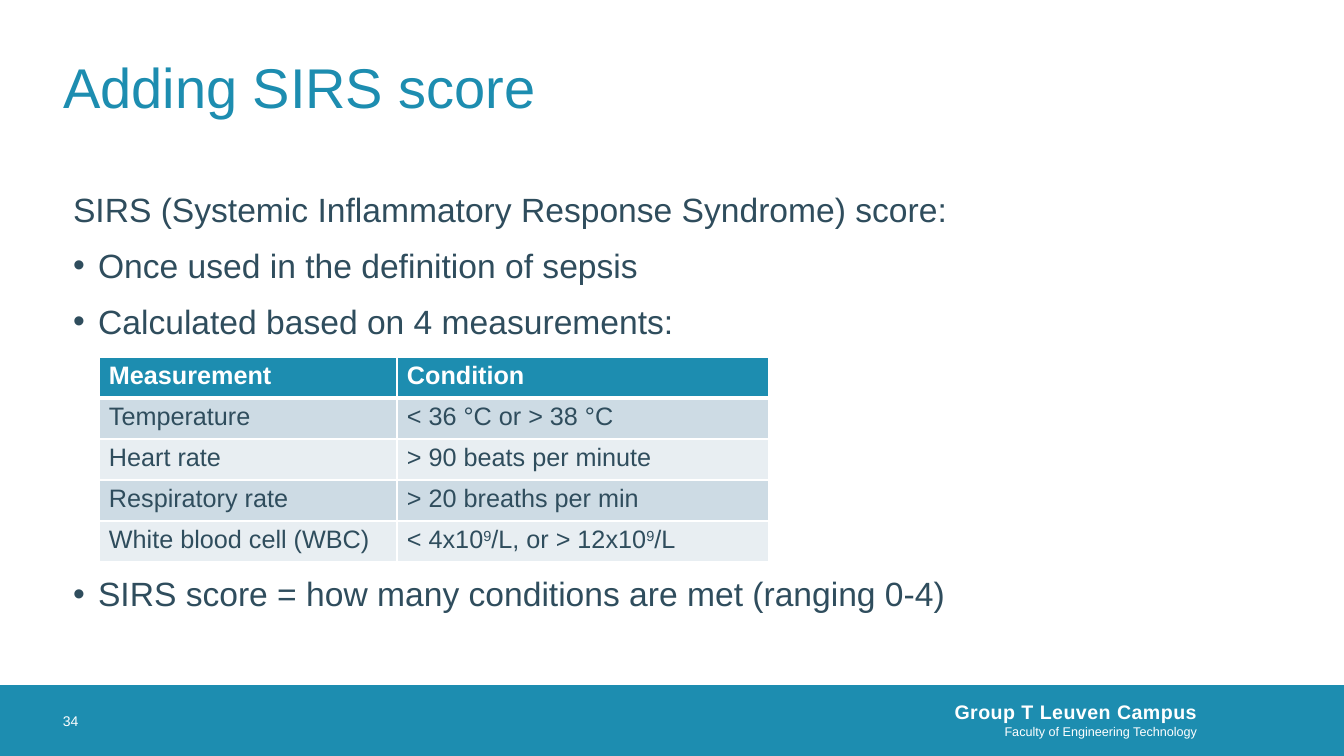
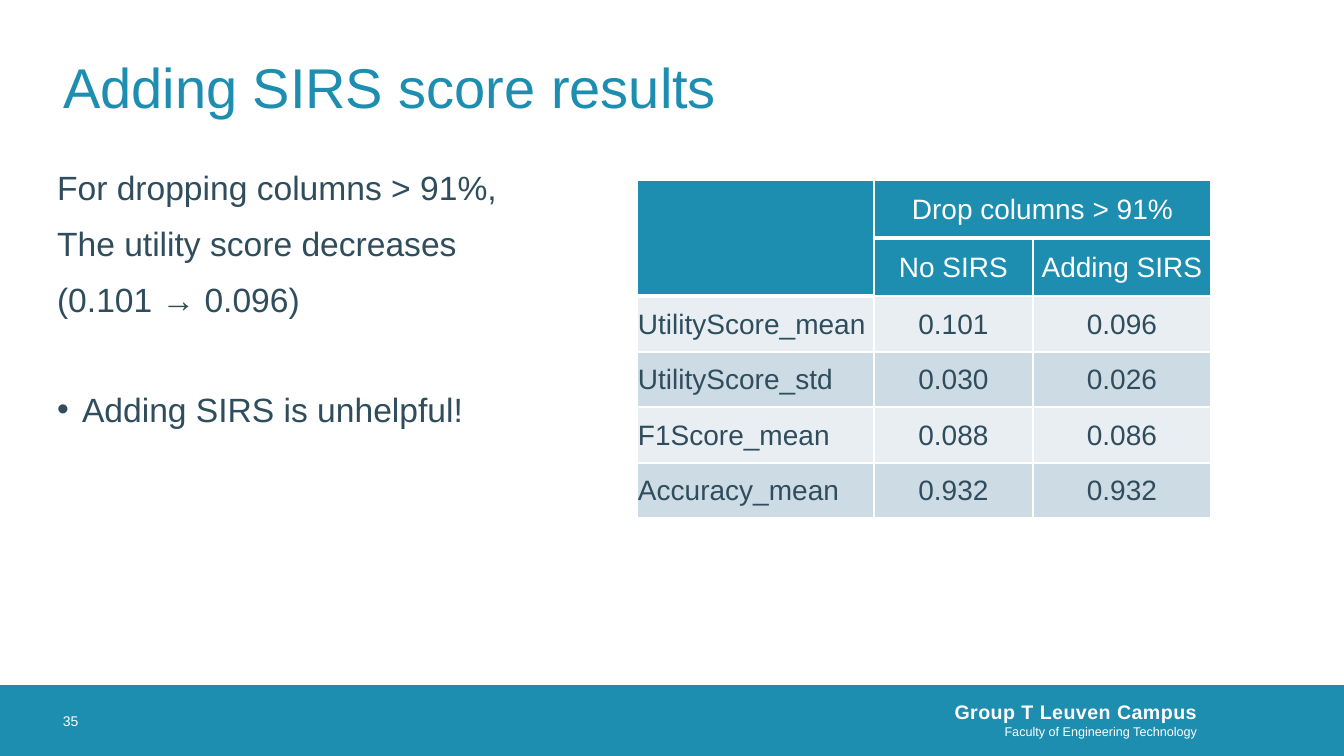
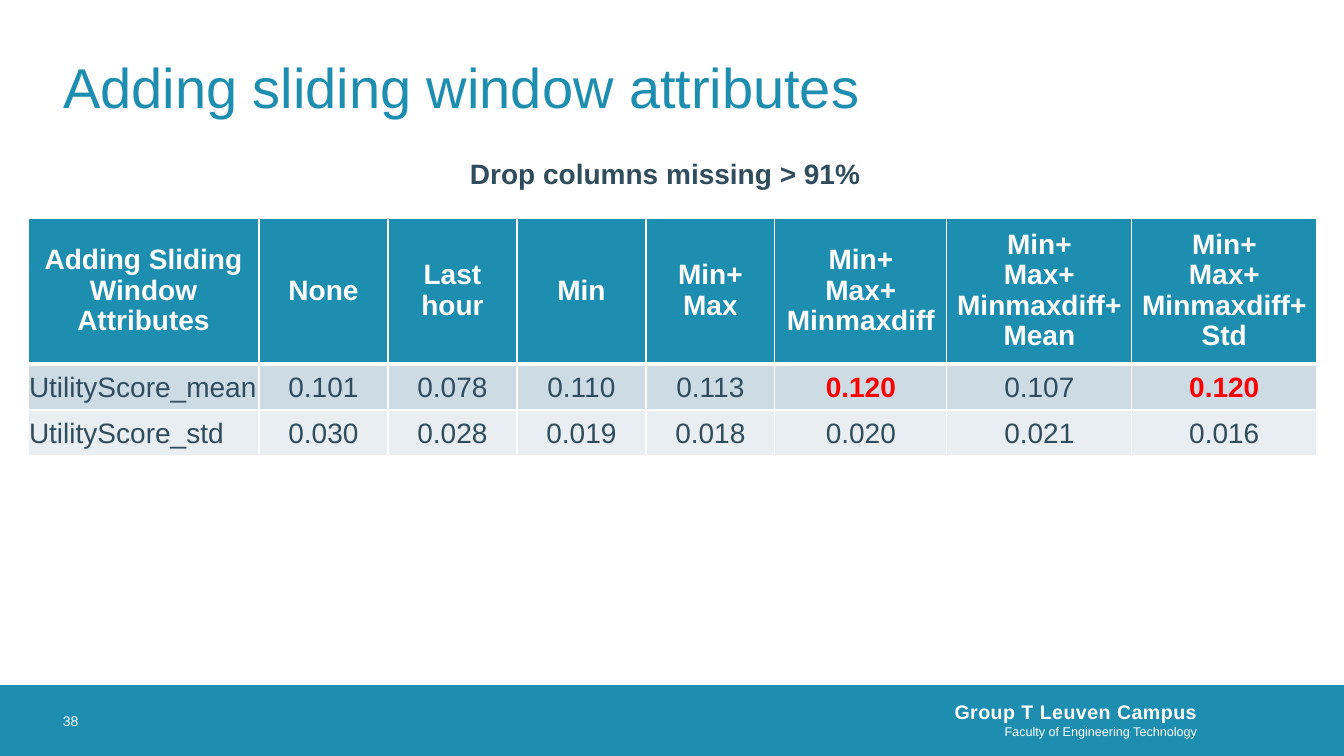
import pptx
import pptx.dml.color
import pptx.enum.shapes
import pptx.enum.text
import pptx.oxml
import pptx.oxml.ns
import pptx.util

EMU_PER_PX = 914400 / 100.8
FONT = "Arial"
COLORS = {"teal": "1D8DB0", "text": "2F4D5D", "white": "FFFFFF",
          "band_dark": "CDDBE4", "band_light": "E8EEF2", "red": "FF0000"}
ALIGN = pptx.enum.text.PP_ALIGN
MIDDLE = pptx.enum.text.MSO_ANCHOR.MIDDLE
TOP = pptx.enum.text.MSO_ANCHOR.TOP
TITLE_AND_CONTENT, TITLE_ONLY = 1, 5

SIZE = (1344, 756)
TITLE_BOX = (63, 23, 1217, 127)
BAND_BOX = (0, 685, 1344, 71)
NUMBER_BOX = (63, 685, 72, 71)
CAMPUS_BOX = (576, 683, 641, 73)
CAMPUS = "Group T Leuven Campus"
FACULTY = "Faculty of Engineering Technology"
BULLET_INDENT = 25

# Body lines: (text, bulleted, points of space before)
SLIDES = [
    {
        "number": "34",
        "title": "Adding SIRS score",
        "body_box": (63, 182, 1217, 492),
        "body": [
            ("SIRS (Systemic Inflammatory Response Syndrome) score:", False, 0),
            ("Once used in the definition of sepsis", True, 10),
            ("Calculated based on 4 measurements:", True, 10),
            ("SIRS score = how many conditions are met (ranging 0-4)", True, 165),
        ],
        "table": {
            "at": (99, 357), "cols": [298, 372], "rows": [41] * 5,
            "size": 18, "bold_header": True, "center": False, "anchor": TOP,
            "margins": (10, 5, 10, 5),
            "cells": [
                ["Measurement", "Condition"],
                ["Temperature", "< 36 °C or > 38 °C"],
                ["Heart rate", "> 90 beats per minute"],
                ["Respiratory rate", "> 20 breaths per min"],
                ["White blood cell (WBC)", "< 4x10^9^/L, or > 12x10^9^/L"],
            ],
        },
    },
    {
        "number": "35",
        "title": "Adding SIRS score results",
        "body_box": (47, 160, 523, 467),
        "body": [
            ("For dropping columns > 91%,", False, 0),
            ("The utility score decreases", False, 10),
            ("(0.101 → 0.096)", False, 10),
            ("Adding SIRS is unhelpful!", True, 49),
        ],
        "table": {
            "at": (637, 180), "cols": [237, 159, 178],
            "rows": [58, 58, 56, 55, 56, 55],
            "size": 20, "header_rows": 2,
            "merges": [((0, 0), (1, 0)), ((0, 1), (0, 2))],
            "cells": [
                ["", "Drop columns > 91%", ""],
                ["", "No SIRS", "Adding SIRS"],
                ["UtilityScore_mean", "0.101", "0.096"],
                ["UtilityScore_std", "0.030", "0.026"],
                ["F1Score_mean", "0.088", "0.086"],
                ["Accuracy_mean", "0.932", "0.932"],
            ],
        },
    },
    {
        "number": "38",
        "title": "Adding sliding window attributes",
        "caption": "Drop columns missing > 91%",
        "caption_box": (460, 151, 425, 44),
        "table": {
            "at": (28, 218), "cols": [231] + [129] * 4 + [172, 185, 185],
            "rows": [146, 46, 46],
            "size": 20, "bold_header": True, "header_margins": (8, 5, 8, 5),
            "header_spacing": 0.97, "highlights": {(1, 5), (1, 7)},
            "cells": [
                ["Adding Sliding\nWindow Attributes", "None", "Last hour", "Min",
                 "Min+\nMax", "Min+\nMax+\nMinmaxdiff",
                 "Min+\nMax+\nMinmaxdiff+\nMean", "Min+\nMax+\nMinmaxdiff+\nStd"],
                ["UtilityScore_mean", "0.101", "0.078", "0.110", "0.113",
                 "0.120", "0.107", "0.120"],
                ["UtilityScore_std", "0.030", "0.028", "0.019", "0.018",
                 "0.020", "0.021", "0.016"],
            ],
        },
    },
]


def px(value):
    return pptx.util.Emu(round(value * EMU_PER_PX))


def rgb(name):
    return pptx.dml.color.RGBColor.from_string(COLORS[name])


def place(shape, box):
    shape.left, shape.top, shape.width, shape.height = map(px, box)


def set_margins(target, margins):
    (target.margin_left, target.margin_top,
     target.margin_right, target.margin_bottom) = map(px, margins)


def style(p, size, color, bold=False, align=ALIGN.LEFT):
    p.alignment = align
    for r in p.runs:
        r.font.name = FONT
        r.font.size = pptx.util.Pt(size)
        r.font.bold = bold
        r.font.color.rgb = rgb(color)


def add_text(s, box, lines, margins=(0, 0, 0, 0), anchor=MIDDLE, align=ALIGN.LEFT):
    """Add a text box; each line is (text, size, color, bold)."""
    tf = s.shapes.add_textbox(*map(px, box)).text_frame
    tf.word_wrap = True
    tf.vertical_anchor = anchor
    set_margins(tf, margins)
    tf.text = "\n".join(line[0] for line in lines)
    for p, (_, size, color, bold) in zip(tf.paragraphs, lines):
        style(p, size, color, bold, align)
    return tf


def add_slide(prs, content):
    """Add a slide with the title, band and footer that all slides share."""
    layout = TITLE_AND_CONTENT if "body" in content else TITLE_ONLY
    s = prs.slides.add_slide(prs.slide_layouts[layout])
    band = s.shapes.add_shape(pptx.enum.shapes.MSO_SHAPE.RECTANGLE, *map(px, BAND_BOX))
    band.shadow.inherit = False
    band.fill.solid()
    band.fill.fore_color.rgb = rgb("teal")
    band.line.fill.background()
    campus = add_text(s, CAMPUS_BOX, [(CAMPUS, 14, "white", True),
                                      (FACULTY, 9, "white", False)],
                      margins=(0, 0, 20, 0), align=ALIGN.RIGHT)
    campus.paragraphs[0].runs[0].font._element.set("spc", "30")
    add_text(s, NUMBER_BOX, [(content["number"], 10, "white", False)])

    place(s.shapes.title, TITLE_BOX)
    tf = s.shapes.title.text_frame
    tf.text = content["title"]
    tf.auto_size = pptx.enum.text.MSO_AUTO_SIZE.NONE
    tf.vertical_anchor = MIDDLE
    set_margins(tf, (0, 0, 0, 0))
    style(tf.paragraphs[0], 40, "teal")
    return s


def set_bullet(p, bulleted):
    pPr = p._p.get_or_add_pPr()
    indent = px(BULLET_INDENT) if bulleted else 0
    pPr.set("marL", str(indent))
    pPr.set("indent", str(-indent))
    ns = pptx.oxml.ns.nsdecls("a")
    marks = ([f'<a:buFont {ns} typeface="{FONT}"/>', f'<a:buChar {ns} char="•"/>']
             if bulleted else [f"<a:buNone {ns}/>"])
    for mark in marks:
        pPr.append(pptx.oxml.parse_xml(mark))


def fill_body(s, box, lines):
    body = s.placeholders[1]
    place(body, box)
    tf = body.text_frame
    tf.auto_size = pptx.enum.text.MSO_AUTO_SIZE.NONE
    tf.text = "\n".join(line[0] for line in lines)
    for p, (_, bulleted, before) in zip(tf.paragraphs, lines):
        set_bullet(p, bulleted)
        p.space_before = pptx.util.Pt(before)
        p.line_spacing = 1.04
        style(p, 24, "text")


def set_borders(cell, bottom):
    """Draw white cell borders, 1 pt wide except for the bottom one."""
    tcPr = cell._tc.get_or_add_tcPr()
    for i, (side, width) in enumerate([("L", 1), ("R", 1), ("T", 1), ("B", bottom)]):
        tcPr.insert(i, pptx.oxml.parse_xml(
            f'<a:ln{side} {pptx.oxml.ns.nsdecls("a")} w="{pptx.util.Pt(width)}">'
            f'<a:solidFill><a:srgbClr val="{COLORS["white"]}"/></a:solidFill>'
            f"</a:ln{side}>"))


def write_cell(cell, text):
    """Write one paragraph per line; text between ^ marks is superscript."""
    tf = cell.text_frame
    for i, line in enumerate(text.split("\n")):
        p = tf.paragraphs[0] if i == 0 else tf.add_paragraph()
        for k, part in enumerate(line.split("^")):
            if part:
                r = p.add_run()
                r.text = part
                if k % 2:
                    r.font._element.set("baseline", "30000")


def add_table(s, data):
    cols, rows = data["cols"], data["rows"]
    box = (*data["at"], sum(cols), sum(rows))
    table = s.shapes.add_table(len(rows), len(cols), *map(px, box)).table
    for column, width in zip(table.columns, cols):
        column.width = px(width)
    for row, height in zip(table.rows, rows):
        row.height = px(height)

    header_rows = data.get("header_rows", 1)
    margins = data.get("margins", (1, 1, 1, 0))
    for i, texts in enumerate(data["cells"]):
        header = i < header_rows
        band = "teal" if header else "band_dark" if i % 2 else "band_light"
        for j, text in enumerate(texts):
            cell = table.cell(i, j)
            cell.fill.solid()
            cell.fill.fore_color.rgb = rgb(band)
            thick = i == 0 or (header and j == 0)
            set_borders(cell, 3 if thick else 1)
            cell.vertical_anchor = data.get("anchor", MIDDLE)
            set_margins(cell, data.get("header_margins", margins) if header else margins)
            write_cell(cell, text)
            marked = (i, j) in data.get("highlights", ())
            color = "white" if header else "red" if marked else "text"
            bold = marked or (header and data.get("bold_header", False))
            centered = data.get("center", True) and (header or j > 0)
            for p in cell.text_frame.paragraphs:
                style(p, data["size"], color, bold,
                      ALIGN.CENTER if centered else ALIGN.LEFT)
                if header and "header_spacing" in data:
                    p.line_spacing = data["header_spacing"]
    for first, last in data.get("merges", ()):
        table.cell(*first).merge(table.cell(*last))


def main():
    prs = pptx.Presentation()
    prs.slide_width, prs.slide_height = map(px, SIZE)
    for content in SLIDES:
        s = add_slide(prs, content)
        if "body" in content:
            fill_body(s, content["body_box"], content["body"])
        if "caption" in content:
            add_text(s, content["caption_box"], [(content["caption"], 20, "text", True)],
                     margins=(10, 5, 10, 5), anchor=TOP)
        add_table(s, content["table"])
    prs.save("out.pptx")


if __name__ == "__main__":
    main()
